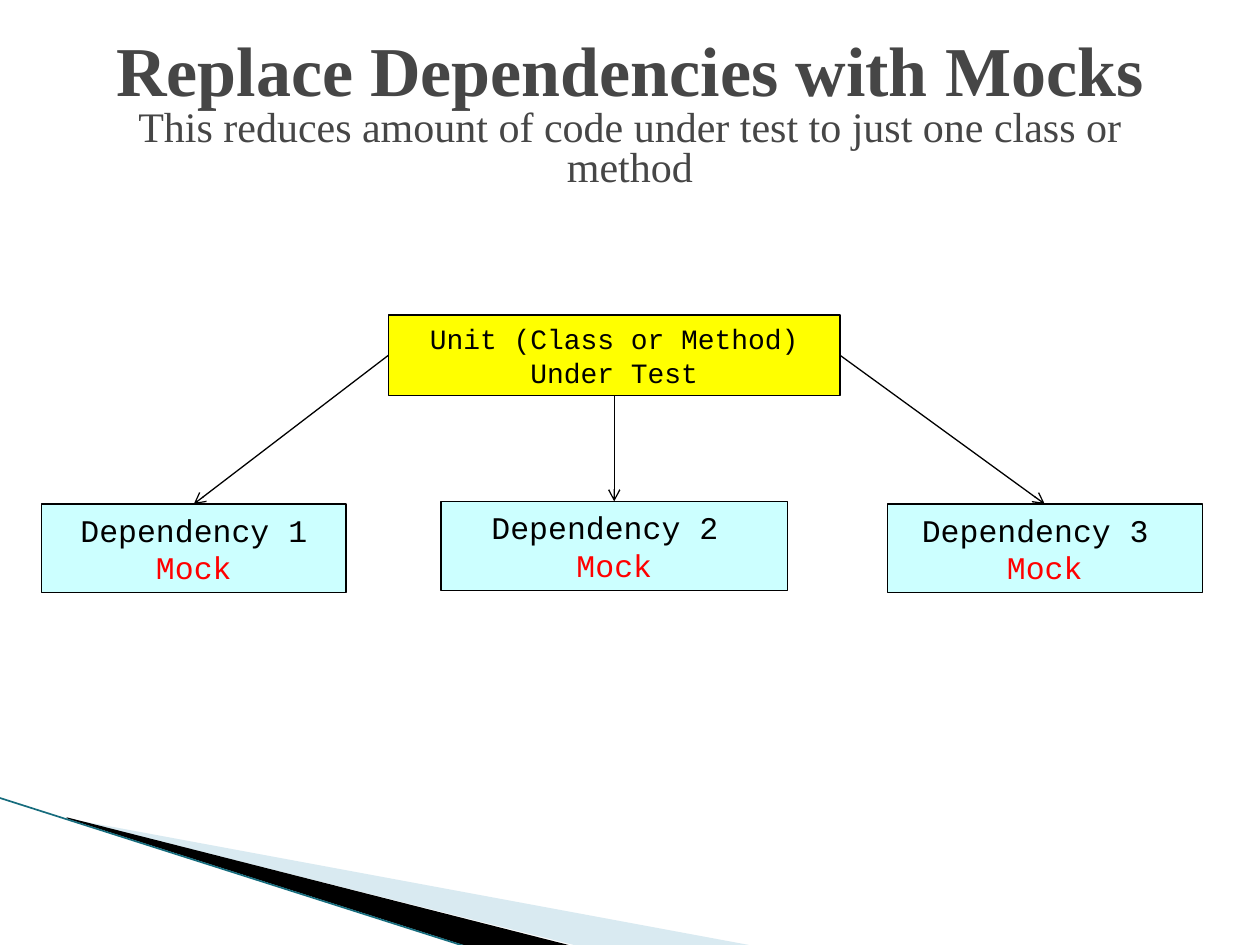
import pptx
import pptx.dml.color
import pptx.enum.shapes
import pptx.enum.text
import pptx.oxml
import pptx.oxml.ns
import pptx.util

Pt = pptx.util.Pt
PP_ALIGN = pptx.enum.text.PP_ALIGN
ANCHOR = pptx.enum.text.MSO_ANCHOR
AUTO_SIZE = pptx.enum.text.MSO_AUTO_SIZE
STRAIGHT = pptx.enum.shapes.MSO_CONNECTOR.STRAIGHT
RECTANGLE = pptx.enum.shapes.MSO_SHAPE.RECTANGLE

BLACK, RED, GREY = "000000", "FF0000", "464646"
YELLOW, CYAN, PALE_BLUE, TEAL = "FFFF00", "CCFFFF", "A0CBDC", "166C7D"
TOP, LEFT, BOTTOM, RIGHT = range(4)

TITLE = "Replace Dependencies with Mocks"
SUBTITLE = "This reduces amount of code under test to just one class or method"

# Paragraphs are lists of (text, colour) runs.
UNIT = ((222, 180, 258, 46), [[("Unit (Class or Method)", BLACK)], [("Under Test", BLACK)]])
# Box, paragraphs, side of the unit where the arrow starts
DEPENDENCIES = [
    ((507, 288, 180, 50.8), [[("Dependency 3 ", BLACK)], [("Mock", RED)]], RIGHT),
    ((23.75, 288, 174, 50.8), [[("Dependency 1 ", BLACK), ("Mock", RED)]], LEFT),
    ((252, 286.5, 198, 50.8), [[("Dependency 2 ", BLACK)], [("Mock", RED)]], BOTTOM),
]

# Points, fill, opacity in percent
WEDGES = [
    ([(39.6, 468.4), (428.4, 540.4), (328.3, 540.4), (39.6, 468)], PALE_BLUE, 40),
    ([(38.2, 467.3), (329, 540.7), (267.8, 541.4), (38.9, 468)], BLACK, 100),
]
EDGE = (-0.7, 455.8, 267.8, 541.4)


def color(hex_string):
    return pptx.dml.color.RGBColor.from_string(hex_string)


def add_child(parent, tag, **attributes):
    child = pptx.oxml.parse_xml(f"<{tag} {pptx.oxml.ns.nsdecls('a')}/>")
    for name, value in attributes.items():
        child.set(name, value)
    parent.append(child)


def format_run(run, font_name, size, hex_string, bold=False):
    run.font.name = font_name
    run.font.size = Pt(size)
    run.font.bold = bold
    run.font.color.rgb = color(hex_string)


def add_wedge(slide, points, fill, opacity):
    builder = slide.shapes.build_freeform(*points[0], scale=Pt(1))
    builder.add_line_segments(points[1:], close=True)
    shape = builder.convert_to_shape()
    shape.shadow.inherit = False
    shape.line.fill.background()
    shape.fill.solid()
    shape.fill.fore_color.rgb = color(fill)
    if opacity < 100:
        srgb = shape.fill._xPr.find(".//" + pptx.oxml.ns.qn("a:srgbClr"))
        add_child(srgb, "a:alpha", val=str(opacity * 1000))


def add_line(slide, ends, hex_string, width):
    line = slide.shapes.add_connector(STRAIGHT, *map(Pt, ends))
    line.line.color.rgb = color(hex_string)
    line.line.width = Pt(width)
    add_child(line._element.spPr, "a:effectLst")
    return line


def add_title(slide):
    box = slide.shapes.add_textbox(Pt(36), Pt(21.6), Pt(648), Pt(90))
    frame = box.text_frame
    frame.word_wrap = True
    frame.vertical_anchor = ANCHOR.MIDDLE
    paragraph = frame.paragraphs[0]
    paragraph.text = f"{TITLE}\v{SUBTITLE}"
    paragraph.alignment = PP_ALIGN.CENTER
    paragraph.line_spacing = 0.8
    heading, subtitle = paragraph.runs
    format_run(heading, "Times New Roman", 40, GREY, bold=True)
    format_run(subtitle, "Times New Roman", 24, GREY)


def add_box(slide, place, paragraphs, fill, size):
    shape = slide.shapes.add_shape(RECTANGLE, *map(Pt, place))
    shape.shadow.inherit = False
    shape.fill.solid()
    shape.fill.fore_color.rgb = color(fill)
    shape.line.color.rgb = color(BLACK)
    shape.line.width = Pt(0.75)
    frame = shape.text_frame
    frame.word_wrap = True
    frame.auto_size = AUTO_SIZE.SHAPE_TO_FIT_TEXT
    frame.vertical_anchor = ANCHOR.MIDDLE
    for index, runs in enumerate(paragraphs):
        paragraph = frame.add_paragraph() if index else frame.paragraphs[0]
        paragraph.alignment = PP_ALIGN.CENTER
        for text, hex_string in runs:
            run = paragraph.add_run()
            run.text = text
            format_run(run, "Courier New", size, hex_string)
    return shape


def add_arrow(slide, start, side, end):
    """Join a side of start to the top of end."""
    arrow = add_line(slide, (0, 0, 0, 0), BLACK, 0.75)
    arrow.begin_connect(start, side)
    arrow.end_connect(end, TOP)
    add_child(arrow.line._get_or_add_ln(), "a:tailEnd", type="arrow")


def main():
    presentation = pptx.Presentation()
    presentation.slide_width, presentation.slide_height = Pt(720), Pt(540)
    slide = presentation.slides.add_slide(presentation.slide_layouts[6])

    for wedge in WEDGES:
        add_wedge(slide, *wedge)
    add_line(slide, EDGE, TEAL, 0.95)

    add_title(slide)
    unit = add_box(slide, *UNIT, YELLOW, 16)
    boxes = [add_box(slide, place, paragraphs, CYAN, 18) for place, paragraphs, _ in DEPENDENCIES]
    for box, (_, _, side) in zip(boxes, DEPENDENCIES):
        add_arrow(slide, unit, side, box)

    presentation.save("out.pptx")


if __name__ == "__main__":
    main()
